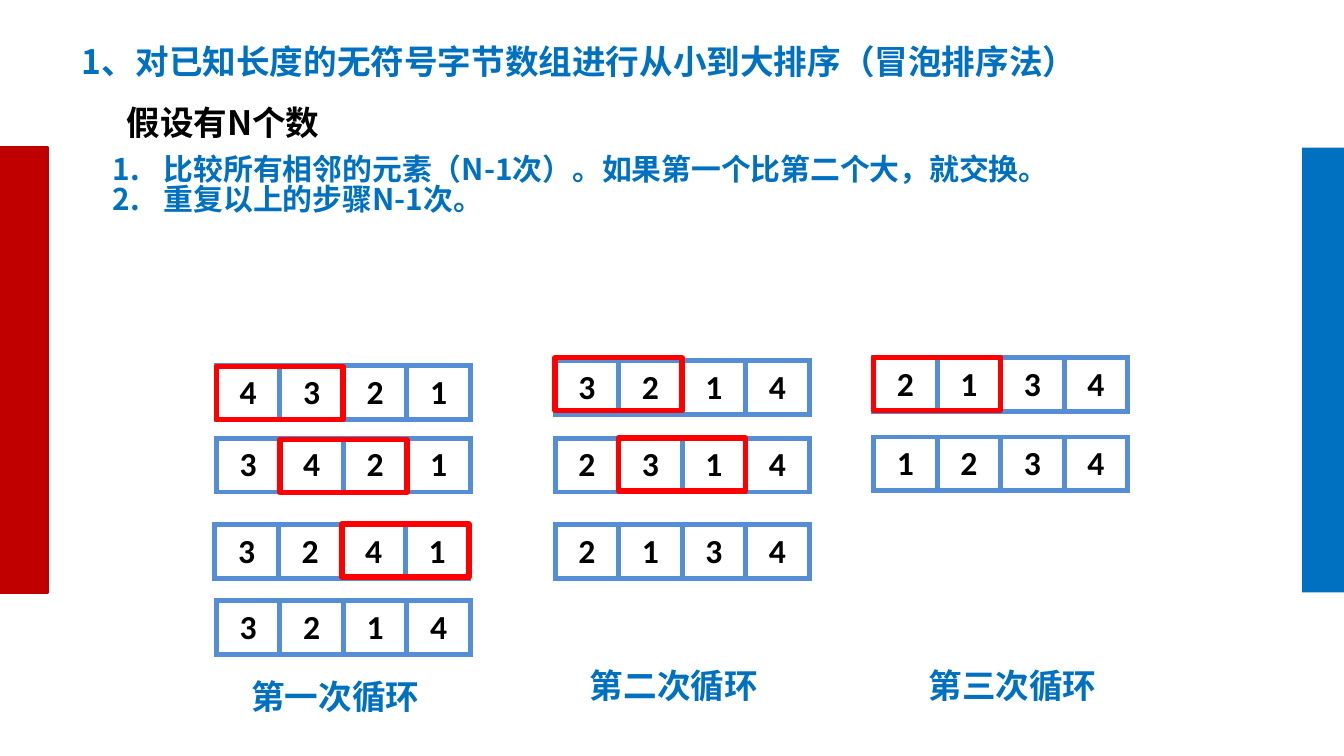
from lxml.etree import SubElement
from pptx import Presentation
from pptx.dml.color import RGBColor
from pptx.enum.shapes import MSO_SHAPE
from pptx.enum.text import MSO_ANCHOR, PP_ALIGN
from pptx.oxml.ns import qn
from pptx.util import Cm, Pt

BLUE = RGBColor(0x00, 0x70, 0xC0)
DARK_RED = RGBColor(0xC0, 0x00, 0x00)
RED = RGBColor(0xFF, 0x00, 0x00)
GRID_BLUE = RGBColor(0x55, 0x8E, 0xD5)
BLACK = RGBColor(0x00, 0x00, 0x00)

CJK_FONT = "Noto Sans CJK SC"
CELL_WIDTH = 1.2
CELL_HEIGHT = 1.02
FRAME_HEIGHT = 1.0

LOOPS = [
    ("第一次循环", (4.09, 6.91, 4.8, 6.91), (0.41, 5.84), [
        ("4321", 0, 0, 0, 0.02),
        ("3421", 0, 1.37, 1, 0.03),
        ("3241", -0.03, 3, 2, 0),
        ("3214", 0, 4.44, None, 0),
    ]),
    ("第二次循环", (10.49, 6.81, 4.8, 6.81), (0.41, 5.74), [
        ("3214", 0, 0, 0, -0.05),
        ("2314", 0, 1.47, 1, 0),
        ("2134", 0, 3.1, None, 0),
    ]),
    ("第三次循环", (16.51, 6.76, 4.8, 6.86), (0.79, 5.79), [
        ("2134", 0, 0, 0, 0),
        ("1234", 0, 1.5, None, 0),
    ]),
]


def add_span(para, text, size, color, font=CJK_FONT):
    span = para.add_run()
    span.text = text
    span.font.size = Pt(size)
    span.font.bold = True
    span.font.name = font
    span.font.color.rgb = color
    SubElement(span.font._element, qn("a:ea"), typeface=font)


def add_text(page, box, lines, size, color, spacing=0.88, indent=0, numbered=False, wrap=True):
    frame = page.shapes.add_textbox(*map(Cm, box)).text_frame
    frame.word_wrap = wrap
    for index, line in enumerate(lines):
        para = frame.paragraphs[0] if index == 0 else frame.add_paragraph()
        para.line_spacing = spacing
        properties = para._p.get_or_add_pPr()
        if indent:
            properties.set("marL", str(Cm(indent)))
            properties.set("indent", str(-Cm(indent)))
        if numbered:
            SubElement(properties, qn("a:buFont"), typeface="+mj-lt")
            SubElement(properties, qn("a:buAutoNum"), type="arabicPeriod")
        add_span(para, line, size, color)


def add_rectangle(page, box, fill=None, line=None, width=0):
    rectangle = page.shapes.add_shape(MSO_SHAPE.RECTANGLE, *map(Cm, box))
    rectangle.shadow.inherit = False
    if fill is None:
        rectangle.fill.background()
    else:
        rectangle.fill.solid()
        rectangle.fill.fore_color.rgb = fill
    if line is None:
        rectangle.line.fill.background()
    else:
        rectangle.line.color.rgb = line
        rectangle.line.width = Pt(width)


def add_borders(cell):
    properties = cell._tc.get_or_add_tcPr()
    for side in ("lnL", "lnR", "lnT", "lnB"):
        border = SubElement(properties, qn(f"a:{side}"), w=str(Pt(3)))
        fill = SubElement(border, qn("a:solidFill"))
        SubElement(fill, qn("a:srgbClr"), val=str(GRID_BLUE))


def add_array(page, left, top, digits):
    size = (CELL_WIDTH * len(digits), CELL_HEIGHT)
    shape = page.shapes.add_table(1, len(digits), *map(Cm, (left, top, *size)))
    table = shape.table
    table.first_row = False
    table.horz_banding = False
    for column, digit in enumerate(digits):
        table.columns[column].width = Cm(CELL_WIDTH)
        cell = table.cell(0, column)
        add_borders(cell)
        cell.fill.background()
        cell.vertical_anchor = MSO_ANCHOR.TOP
        para = cell.text_frame.paragraphs[0]
        para.alignment = PP_ALIGN.CENTER
        add_span(para, digit, 18, BLACK, "Calibri")


def add_side_bars(page, box):
    left, top, width, height = box
    bar = 0.89
    add_rectangle(page, (left, top, bar, height), DARK_RED, DARK_RED, 2)
    add_rectangle(page, (left + width - bar, top, bar, height), BLUE)


def add_explanation(page, box):
    left, top, width, height = box
    add_text(page, (left, top, 19.51, 1.02),
             ["1、对已知长度的无符号字节数组进行从小到大排序（冒泡排序法）"],
             18, BLUE, indent=0.79, wrap=False)
    add_text(page, (left + 0.84, top + 1.17, 7.57, 1.07), ["假设有N个数"], 18, BLACK)
    add_text(page, (left + 0.58, top + 2.1, width - 0.58, height - 2.1),
             ["比较所有相邻的元素（N-1次）。如果第一个比第二个大，就交换。", "重复以上的步骤N-1次。"],
             16, BLUE, spacing=0.84, indent=0.97, numbered=True)


def add_loop(page, box, title, title_offset, steps):
    left, top, width, height = box
    for digits, shift, drop, compared, nudge in steps:
        add_array(page, left + shift, top + drop, digits)
        if compared is not None:
            frame_left = left + shift + compared * CELL_WIDTH
            add_rectangle(page, (frame_left, top + drop + nudge, 2 * CELL_WIDTH, FRAME_HEIGHT),
                          line=RED, width=3)
    add_text(page, (left + title_offset[0], top + title_offset[1], 3.86, 1.07),
             [title], 18, BLUE)


def main():
    deck = Presentation()
    deck.slide_width = Cm(25.4)
    deck.slide_height = Cm(14.29)
    page = deck.slides.add_slide(deck.slide_layouts[6])
    add_side_bars(page, (0, 2.79, 25.5, 8.41))
    add_explanation(page, (1.3, 0.74, 22.98, 3.75))
    for title, box, title_offset, steps in LOOPS:
        add_loop(page, box, title, title_offset, steps)
    deck.save("out.pptx")


if __name__ == "__main__":
    main()
